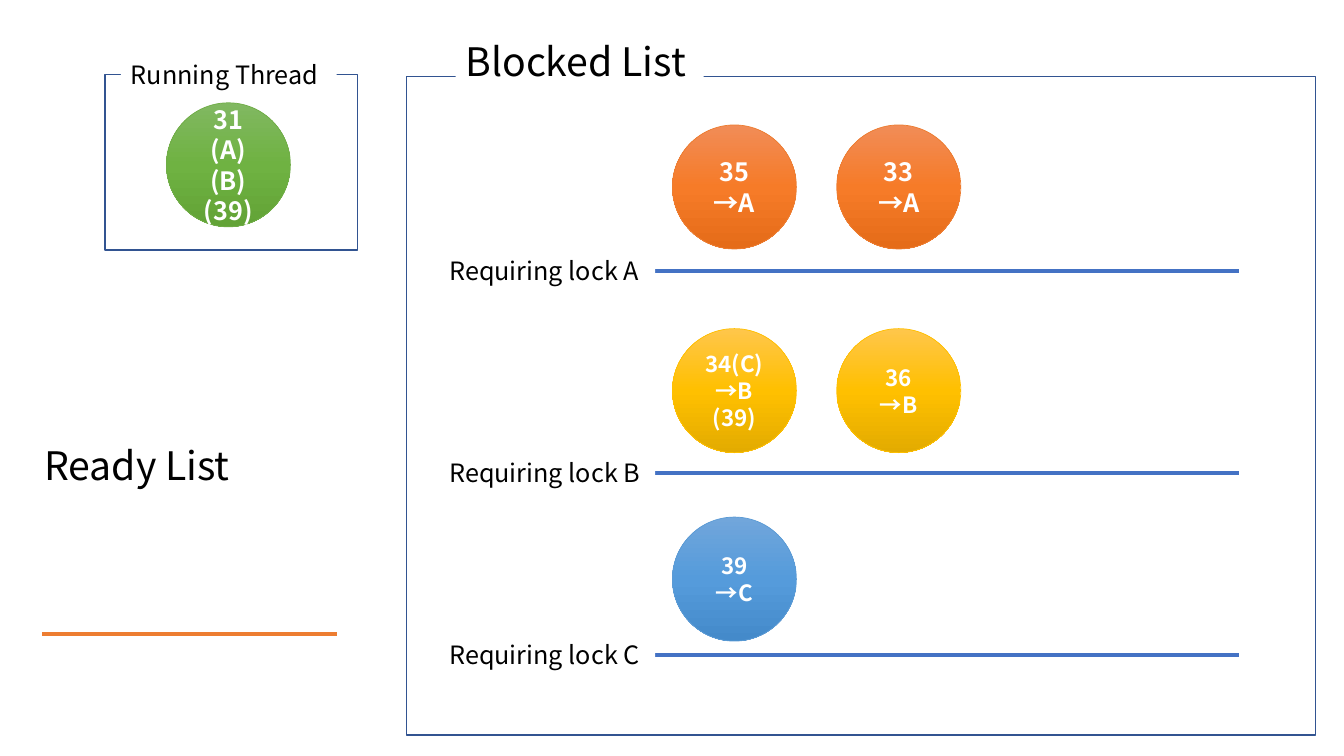
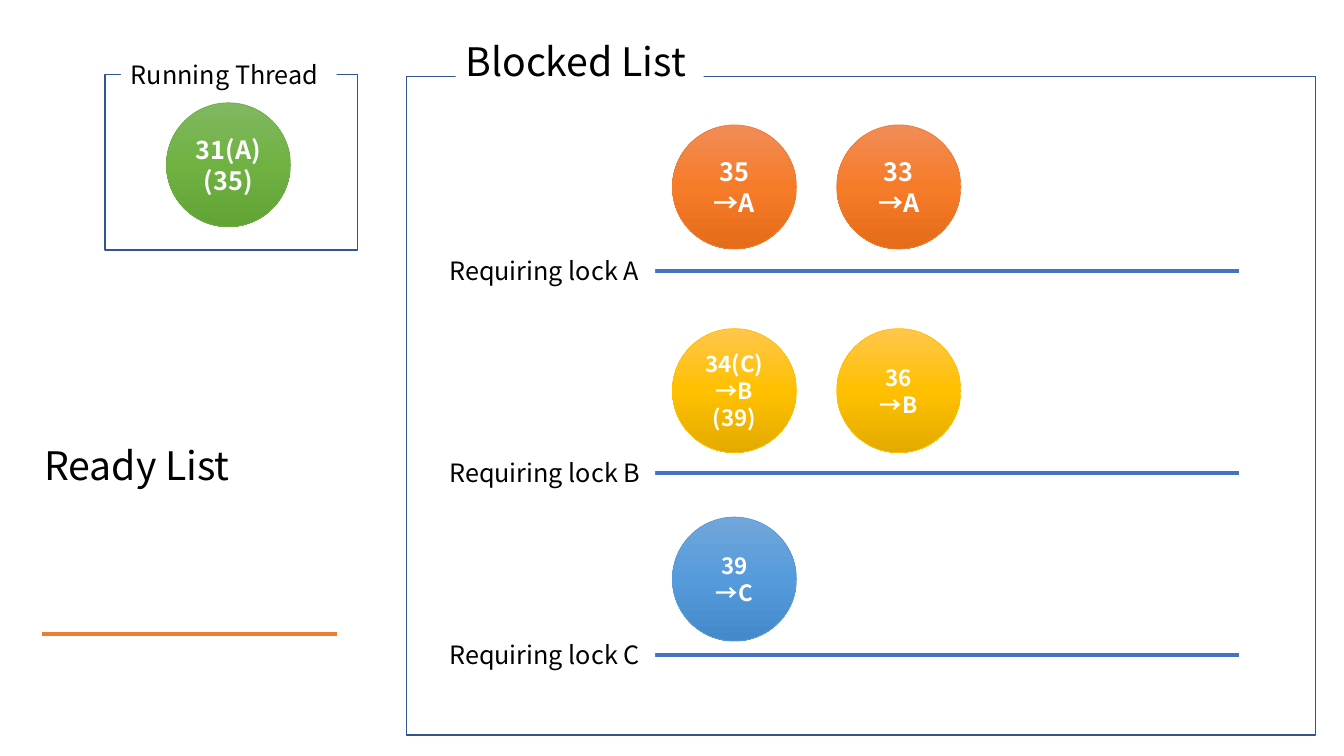
from lxml.etree import SubElement
from pptx import Presentation
from pptx.dml.color import RGBColor
from pptx.enum.shapes import MSO_CONNECTOR as LINE, MSO_SHAPE as SHAPE
from pptx.enum.text import MSO_ANCHOR as ANCHOR, MSO_AUTO_SIZE as FIT, PP_ALIGN as ALIGN
from pptx.oxml.ns import qn
from pptx.util import Emu, Inches, Pt

W, H = Inches(13.333), Inches(7.5)
FONT = "Noto Sans CJK KR"
COLORS = {"text": "000000", "paper": "FFFFFF", "frame": "325491",
          "lock": "4472C4", "ready": "ED7D31"}
THREADS = {
    "running": {"line": "70AD47", "stops": ("81B861", "6FB242", "62A336")},
    "A": {"line": "ED7D31", "stops": ("F18C57", "F67B28", "E56C19")},
    "B": {"line": "FFC000", "stops": ("FFC64B", "FFC000", "E3AB00")},
    "C": {"line": "5B9BD5", "stops": ("71A6DB", "559BDB", "448ACA")},
}
DIAMETER = 9.23
QUEUE_X, QUEUE_STEP = 50.03, 12.23
LOCKS = {
    "A": {"line_y": 35.87, "thread_y": 16.53, "size": 18,
          "queue": (["35", "→A"], ["33", "→A"])},
    "B": {"line_y": 62.53, "thread_y": 43.47, "size": 16,
          "queue": (["34(C)", "→B", "(39)"], ["36", "→B"])},
    "C": {"line_y": 86.67, "thread_y": 68.4, "size": 16,
          "queue": (["39", "→C"],)},
}
RUNNING = (["31", "(A)(B)", "(39)"], ["31(A)", "(35)"])


def px(share):
    """Turn a percentage of the slide width into a length."""
    return Emu(round(W * share / 100))


def py(share):
    """Turn a percentage of the slide height into a length."""
    return Emu(round(H * share / 100))


def rgb(value):
    """Turn a hex string into a colour."""
    return RGBColor.from_string(value)


def write(tf, lines, size=18, color=COLORS["text"], bold=False, align=ALIGN.LEFT,
          anchor=ANCHOR.TOP):
    """Fill a text frame with one paragraph for each line."""
    tf.word_wrap = True
    tf.vertical_anchor = anchor
    for i, line in enumerate(lines):
        p = tf.add_paragraph() if i else tf.paragraphs[0]
        p.alignment = align
        r = p.add_run()
        r.text = line
        r.font.name, r.font.size, r.font.bold = FONT, Pt(size), bold
        r.font.color.rgb = rgb(color)


def add_label(shapes, text, x, y, w, h, size=18):
    """Add a caption whose white fill interrupts the line behind it."""
    sp = shapes.add_textbox(px(x), py(y), px(w), py(h))
    sp.fill.solid()
    sp.fill.fore_color.rgb = rgb(COLORS["paper"])
    write(sp.text_frame, [text], size=size)
    sp.text_frame.auto_size = FIT.SHAPE_TO_FIT_TEXT


def add_frame(shapes, x, y, w, h):
    """Add an unfilled rectangle around a region."""
    sp = shapes.add_shape(SHAPE.RECTANGLE, px(x), py(y), px(w), py(h))
    sp.shadow.inherit = False
    sp.fill.background()
    sp.line.color.rgb = rgb(COLORS["frame"])
    sp.line.width = Pt(1)


def add_rule(shapes, x1, x2, y, color):
    """Add the horizontal line on which threads stand."""
    rule = shapes.add_connector(LINE.STRAIGHT, px(x1), py(y), px(x2), py(y))
    rule.line.color.rgb = rgb(color)
    rule.line.width = Pt(3)
    SubElement(rule.element.spPr, qn("a:effectLst"))


def fill_gradient(sp, colors):
    """Fill a shape with evenly spaced colours from top to bottom."""
    sp.fill.gradient()
    sp.fill.gradient_angle = 270
    stops = sp.element.spPr.find(".//" + qn("a:gsLst"))
    stops.clear()
    for i, color in enumerate(colors):
        stop = SubElement(stops, qn("a:gs"), pos=str(i * 100000 // (len(colors) - 1)))
        SubElement(stop, qn("a:srgbClr"), val=color)


def add_thread(s, lines, x, y, kind, size=18):
    """Add a thread as a circle with its priority and locks."""
    sp = s.shapes.add_shape(SHAPE.OVAL, px(x), py(y), px(DIAMETER), px(DIAMETER))
    sp.shadow.inherit = False
    fill_gradient(sp, THREADS[kind]["stops"])
    sp.line.color.rgb = rgb(THREADS[kind]["line"])
    sp.line.width = Pt(0.5)
    write(sp.text_frame, lines, size=size, color=COLORS["paper"], bold=True,
          align=ALIGN.CENTER, anchor=ANCHOR.MIDDLE)


def add_region(s, text, frame, label, size):
    """Add a grouped frame and its caption."""
    shapes = s.shapes.add_group_shape().shapes
    add_frame(shapes, *frame)
    add_label(shapes, text, *label, size=size)


def add_list_line(s, text, rule, label, color, size=18):
    """Add a grouped line and its caption."""
    shapes = s.shapes.add_group_shape().shapes
    add_rule(shapes, *rule, color)
    add_label(shapes, text, *label, size=size)


def add_state(prs, running):
    """Add a slide with the running thread and the ready and blocked lists."""
    s = prs.slides.add_slide(prs.slide_layouts.get_by_name("Blank"))
    add_region(s, "Running Thread", (7.8, 9.87, 18.82, 23.2), (9, 7.2, 16.05, 5.33), 18)
    add_region(s, "Blocked List", (30.23, 10.13, 67.65, 87.07),
               (33.9, 4.27, 18.45, 11.47), 28)
    add_list_line(s, "Ready List", (3.15, 25.05, 83.87), (2.55, 57.73, 15.38, 7.6),
                  COLORS["ready"], 28)
    add_thread(s, running, 12.38, 13.6, "running")
    for name, lock in LOCKS.items():
        y = lock["line_y"]
        add_list_line(s, f"Requiring lock {name}", (39.68, 92.18, y),
                      (32.7, y - 2.7, 16.05, 5.33), COLORS["lock"])
        for i, lines in enumerate(lock["queue"]):
            add_thread(s, lines, QUEUE_X + i * QUEUE_STEP, lock["thread_y"], name,
                       lock["size"])


def main():
    """Build one slide for each state of the running thread."""
    prs = Presentation()
    prs.slide_width, prs.slide_height = W, H
    for running in RUNNING:
        add_state(prs, running)
    prs.save("out.pptx")


main()
